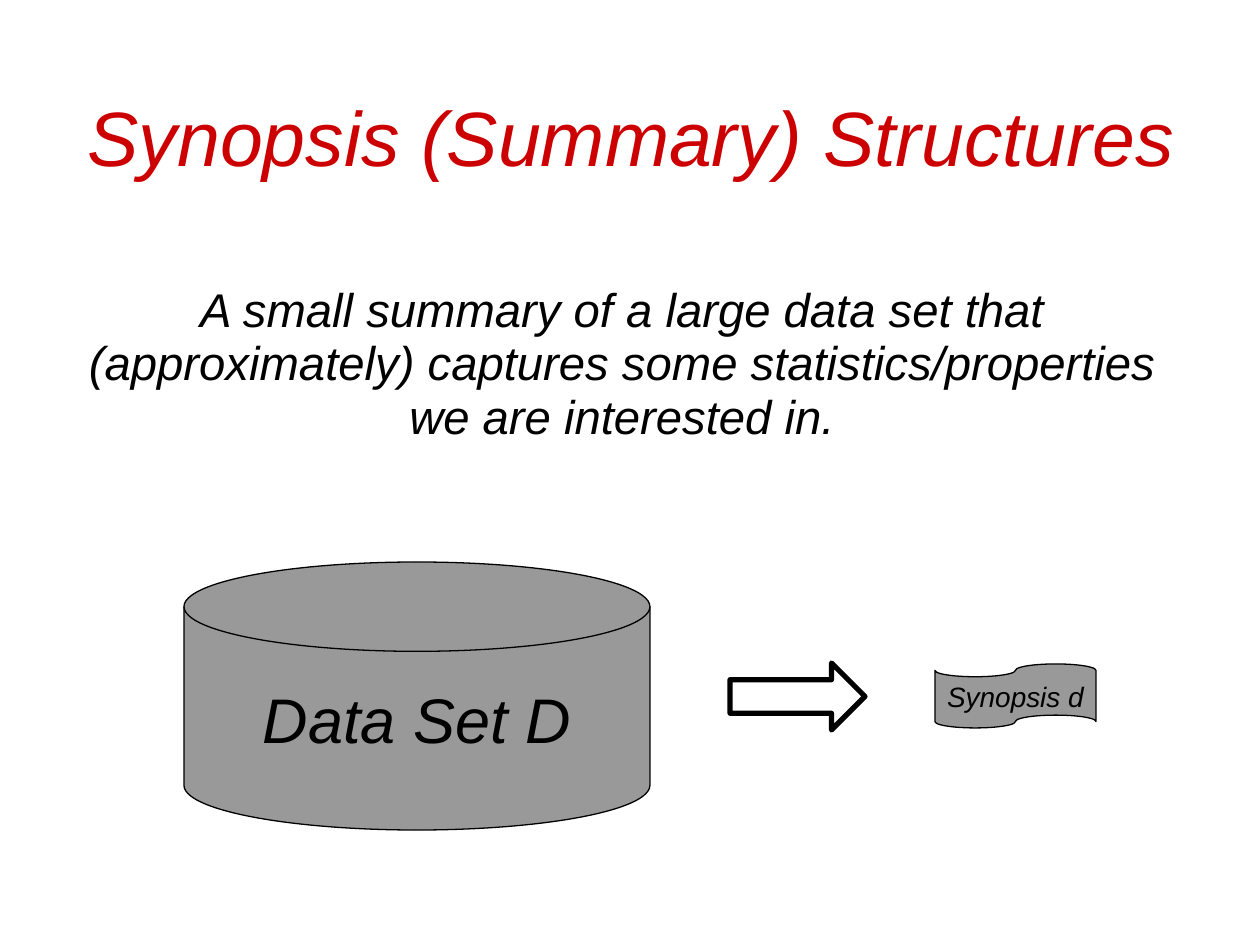
from pptx import Presentation, util as u
from pptx.dml.color import RGBColor
from pptx.enum import shapes, text

PX = 914400 / 126
BLACK, GREY, WHITE, RED = "000000", "999999", "FFFFFF", "CC0000"


def px(n):
    """Turn a length in pixels into EMU."""
    return u.Emu(round(n * PX))


def color(hex_code):
    """Turn a hex string into a colour."""
    return RGBColor.from_string(hex_code)


def write(tf, words, size, fill=BLACK, spacing=None, anchor="TOP", wrap=True, inset=None):
    """Write one centred italic paragraph in a text frame."""
    tf.word_wrap = wrap
    tf.vertical_anchor = getattr(text.MSO_ANCHOR, anchor)
    if inset is not None:
        tf.margin_left = tf.margin_right = tf.margin_top = tf.margin_bottom = px(inset)
    p = tf.paragraphs[0]
    p.alignment = text.PP_ALIGN.CENTER
    p.line_spacing = spacing
    r = p.add_run()
    r.text = words
    r.font.name, r.font.size, r.font.italic = "Arial", u.Pt(size), True
    r.font.color.rgb = color(fill)


def add_text(s, box, words, size, **fmt):
    """Add a text box without insets."""
    sp = s.shapes.add_textbox(*map(px, box))
    write(sp.text_frame, words, size, spacing=0.95, inset=0, **fmt)


def add_figure(s, kind, box, fill, line_width):
    """Add an outlined preset shape."""
    sp = s.shapes.add_shape(getattr(shapes.MSO_SHAPE, kind), *map(px, box))
    sp.shadow.inherit = False
    sp.fill.solid()
    sp.fill.fore_color.rgb = color(fill)
    sp.line.color.rgb = color(BLACK)
    sp.line.width = u.Pt(line_width)
    return sp


def heading(s, x, y, w):
    """Place the title and the definition below it."""
    add_text(s, (x, y, w, 88), "Synopsis (Summary) Structures", 44, fill=RED, anchor="BOTTOM")
    add_text(s, (x + 1, y + 188, w - 21, 164),
             "A small summary of a large data set that (approximately) captures "
             "some statistics/properties we are interested in.", 27)


def diagram(s, x, y, w, h):
    """Place the data set, the arrow and the synopsis from left to right."""
    disk = add_figure(s, "FLOWCHART_MAGNETIC_DISK", (x, y, 466, h), GREY, 0.75)
    tape = add_figure(s, "FLOWCHART_PUNCHED_TAPE", (x + w - 161, y + 102, 161, 64), GREY, 0.75)
    for sp, words, size in ((disk, "Data Set D", 36), (tape, "Synopsis d", 16)):
        write(sp.text_frame, words, size, anchor="MIDDLE", wrap=False)
    add_figure(s, "RIGHT_ARROW", (x + 546, y + 101, 135, 67), WHITE, 3)


def main():
    """Build and save the slide."""
    prs = Presentation()
    prs.slide_width, prs.slide_height = px(1260), px(945)
    s = prs.slides.add_slide(prs.slide_layouts[6])
    heading(s, 86, 96, 1091)
    diagram(s, 184, 562, 912, 268)
    prs.save("out.pptx")


if __name__ == "__main__":
    main()
